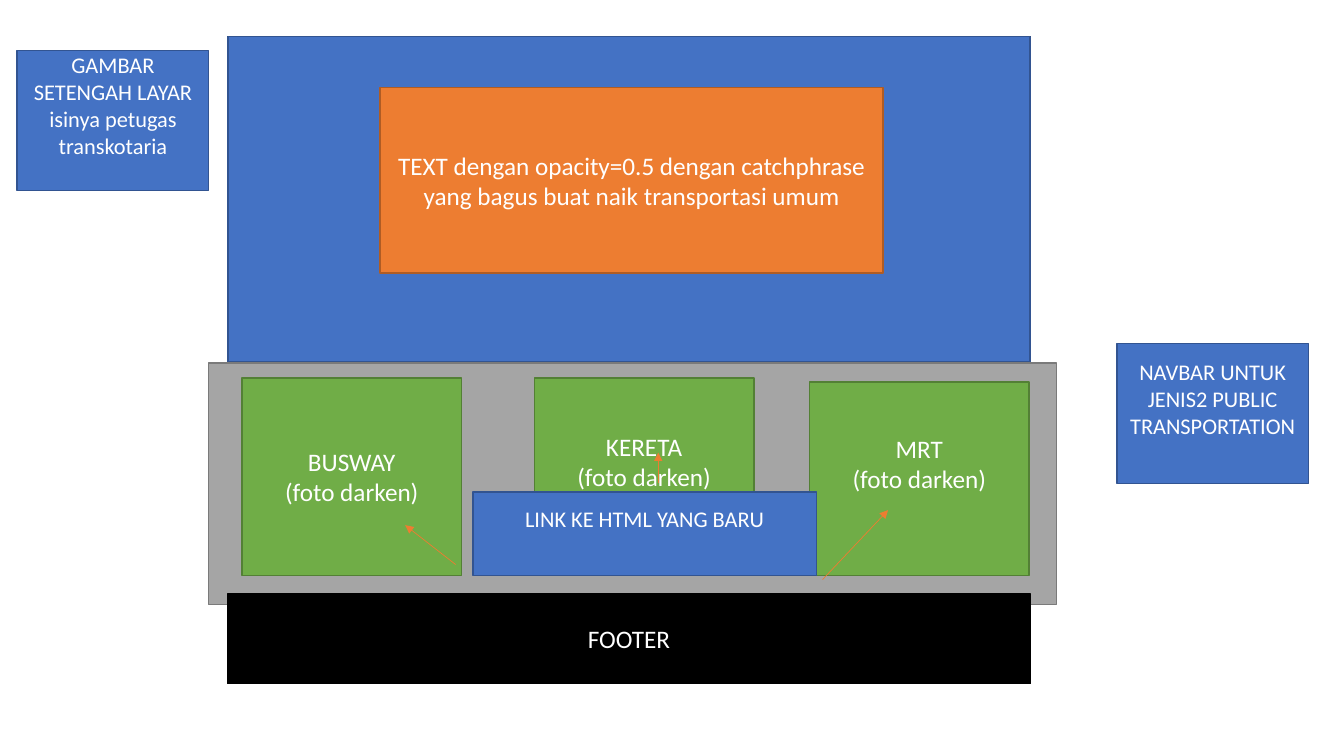
from dataclasses import dataclass

from lxml import etree
from pptx import Presentation
from pptx import util as u
from pptx.dml.color import RGBColor
from pptx.enum import shapes, text
from pptx.oxml.ns import qn


@dataclass(frozen=True)
class Theme:
    font: str = "Calibri"
    body: int = 18
    note: int = 16
    outline: float = 1
    arrow: float = 0.5
    white: str = "FFFFFF"
    black: str = "000000"
    blue: tuple = ("4472C4", "325491")
    orange: tuple = ("ED7D31", "AF5C24")
    gray: tuple = ("A5A5A5", "7A7A7A")
    green: tuple = ("70AD47", "538035")


class Wireframe:
    def __init__(self, prs, theme):
        self.theme = theme
        self.width, self.height = prs.slide_width, prs.slide_height
        self.slide = prs.slides.add_slide(prs.slide_layouts[6])

    def x(self, share):
        return round(self.width * share / 100)

    def y(self, share):
        return round(self.height * share / 100)

    def box(self, left, top, width, height, colors, label="", size=None, raised=False):
        sp = self.slide.shapes.add_shape(
            shapes.MSO_SHAPE.RECTANGLE,
            self.x(left), self.y(top), self.x(width), self.y(height))
        sp.shadow.inherit = False
        fill, line = colors
        sp.fill.solid()
        sp.fill.fore_color.rgb = RGBColor.from_string(fill)
        sp.line.color.rgb = RGBColor.from_string(line)
        sp.line.width = u.Pt(self.theme.outline)
        if label:
            self.caption(sp.text_frame, label, size or self.theme.body, raised)

    def caption(self, tf, label, size, raised):
        tf.text = label
        tf.word_wrap = True
        tf.vertical_anchor = text.MSO_ANCHOR.MIDDLE
        if raised:
            tf.margin_bottom = u.Inches(0.35)
        for p in tf.paragraphs:
            p.alignment = text.PP_ALIGN.CENTER
            for r in p.runs:
                r.font.name = self.theme.font
                r.font.size = u.Pt(size)
                r.font.color.rgb = RGBColor.from_string(self.theme.white)

    def note(self, left, top, width, height, label):
        self.box(left, top, width, height, self.theme.blue, label,
                 self.theme.note, raised=True)

    def arrow(self, x1, y1, x2, y2):
        cxn = self.slide.shapes.add_connector(
            shapes.MSO_CONNECTOR.STRAIGHT,
            self.x(x1), self.y(y1), self.x(x2), self.y(y2))
        cxn.line.color.rgb = RGBColor.from_string(self.theme.orange[0])
        cxn.line.width = u.Pt(self.theme.arrow)
        props = cxn.element.spPr
        etree.SubElement(props.find(qn("a:ln")), qn("a:tailEnd"), type="triangle")
        etree.SubElement(props, qn("a:effectLst"))


def main():
    prs = Presentation()
    prs.slide_width, prs.slide_height = u.Inches(13.33), u.Inches(7.5)
    theme = Theme()
    s = Wireframe(prs, theme)

    page_left, page_top, page_width, page_height = 16.95, 4.8, 59.7, 85.6
    note_width, note_height = 14.25, 18.53
    card_width, card_bottom = 16.35, 76.13
    footer_top, link_top = 78.53, 65.07

    s.box(page_left, page_top, page_width, page_height, (theme.white, theme.black))
    s.note(1.28, 6.67, note_width, note_height,
           "GAMBAR SETENGAH LAYAR isinya petugas transkotaria")
    s.box(page_left, page_top, page_width, 43.07, theme.blue)
    s.box(28.28, 11.6, 37.43, 24.53, theme.orange,
          "TEXT dengan opacity=0.5 dengan catchphrase yang bagus buat naik transportasi umum")
    s.box(15.53, 48, 63.08, 32, theme.gray)
    s.note(83.1, 45.47, note_width, note_height,
           "NAVBAR UNTUK JENIS2 PUBLIC TRANSPORTATION")

    for name, left, top, raised in (
            ("BUSWAY", 18, 50, False),
            ("KERETA", 39.75, 50, True),
            ("MRT", 60.23, 50.53, True)):
        s.box(left, top, card_width, card_bottom - top, theme.green,
              f"{name}\n(foto darken)", raised=raised)

    s.box(page_left, footer_top, page_width, page_top + page_height - footer_top,
          (theme.black, theme.black), "FOOTER")
    s.note(35.18, link_top, 25.58, card_bottom - link_top, "LINK KE HTML YANG BARU")

    for ends in ((33.9, 74.67, 30.15, 69.47),
                 (48.98, 63.87, 48.98, 59.87),
                 (61.2, 76.67, 66.08, 67.47)):
        s.arrow(*ends)

    prs.save("out.pptx")


if __name__ == "__main__":
    main()
